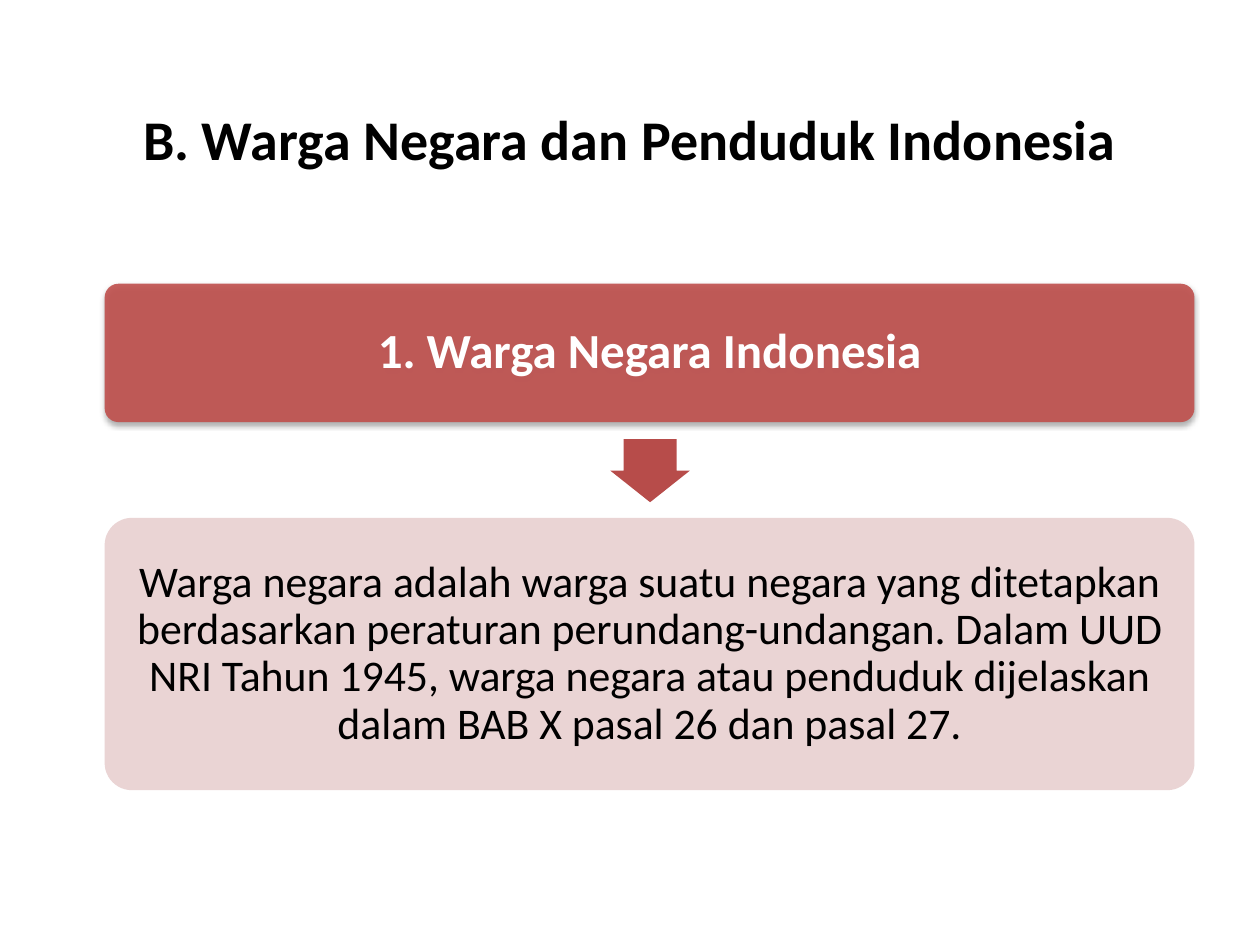
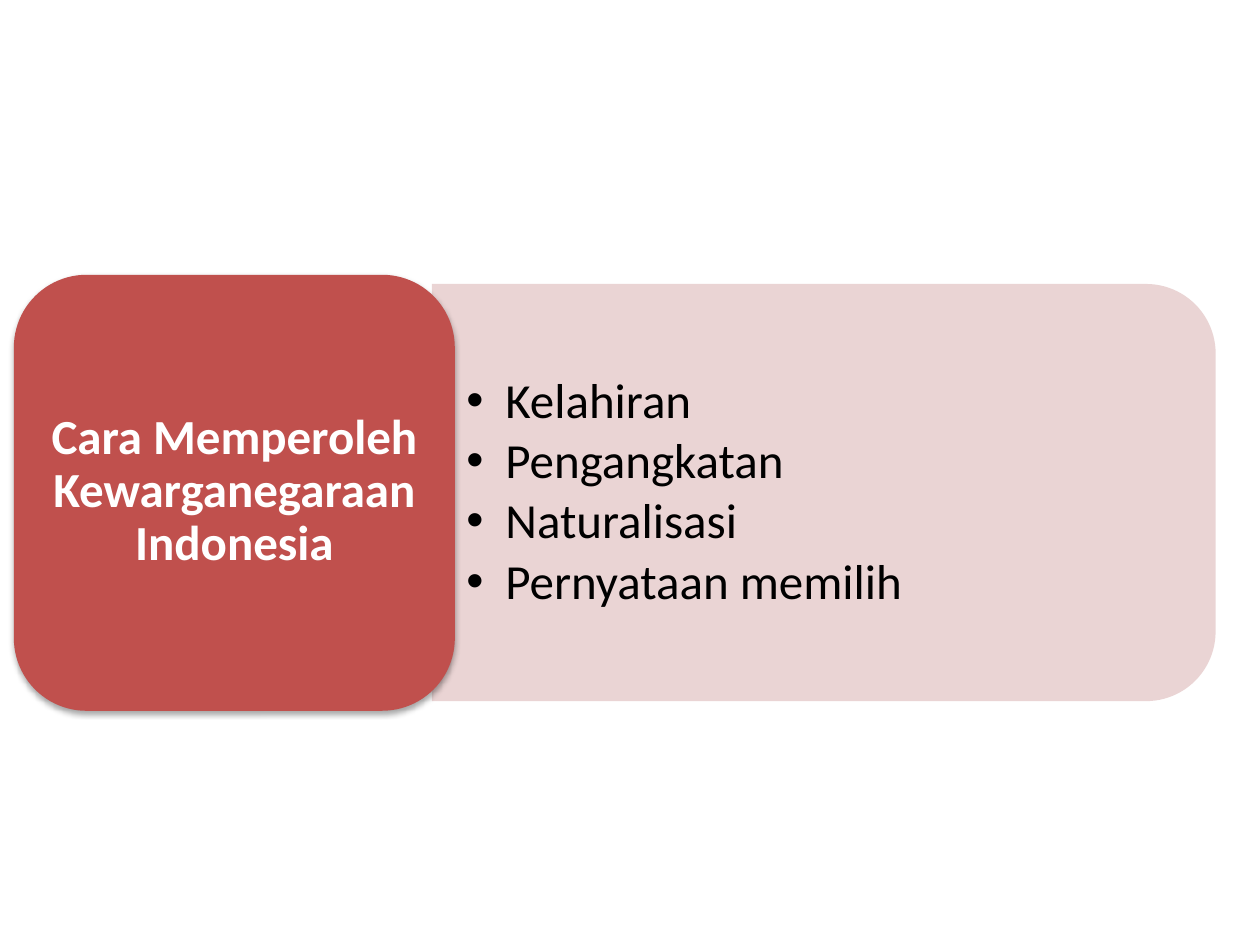
"""Build two slides on Indonesian citizens and how citizenship is obtained."""
from lxml.etree import SubElement
from pptx import Presentation
from pptx.dml.color import RGBColor
from pptx.enum.shapes import MSO_SHAPE
from pptx.enum.text import MSO_ANCHOR, MSO_AUTO_SIZE, PP_ALIGN
from pptx.oxml.ns import qn
from pptx.util import Cm, Pt

FONT = "Calibri"
RED, ARROW, PINK = "C0504D", "B74C4A", "E8D0D0"
BLACK, WHITE = "000000", "FFFFFF"


def paint(fill, color, alpha=100):
    """Give a shape or font fill a solid colour with an opacity in percent."""
    fill.solid()
    fill.fore_color.rgb = RGBColor.from_string(color)
    if alpha < 100:
        clr = fill._xPr.find(qn("a:solidFill"))[0]
        SubElement(clr, qn("a:alpha"), val=str(alpha * 1000))


def write(sp, text, size=28, color=BLACK, bold=False, align=PP_ALIGN.CENTER,
          inset=(0.25, 0.13), spacing=0.9, after=0, indent=None):
    """Write one paragraph per line of text into a shape or placeholder."""
    tf = sp.text_frame
    tf.text = text
    tf.word_wrap = True
    tf.auto_size = MSO_AUTO_SIZE.NONE
    tf.vertical_anchor = MSO_ANCHOR.MIDDLE
    tf.margin_left = tf.margin_right = Cm(inset[0])
    tf.margin_top = tf.margin_bottom = Cm(inset[1])
    for p in tf.paragraphs:
        p.alignment = align
        p.line_spacing = spacing
        p.space_before, p.space_after = Pt(0), Pt(after)
        if indent:
            pPr = p._p.get_or_add_pPr()
            pPr.set("marL", str(Cm(indent)))
            pPr.set("indent", str(-Cm(indent)))
        for r in p.runs:
            r.font.name, r.font.size, r.font.bold = FONT, Pt(size), bold
            paint(r.font.fill, color)


prs = Presentation()
prs.slide_width, prs.slide_height = Cm(25.4), Cm(19.05)
citizens = prs.slides.add_slide(prs.slide_layouts[5])
ways = prs.slides.add_slide(prs.slide_layouts[1])

ROUND = MSO_SHAPE.ROUNDED_RECTANGLE
shapes = {}
for name, s, kind, box, turn, adj, color, alpha, shadow in [
    ("heading", citizens, ROUND, (2.11, 5.72, 21.97, 2.79), 0, [0.1], RED, 90, True),
    ("arrow", citizens, MSO_SHAPE.RIGHT_ARROW, (12.47, 8.69, 1.27, 1.6), 90,
     [0.67, 0.5], ARROW, 100, False),
    ("meaning", citizens, ROUND, (2.11, 10.44, 21.97, 5.49), 0, [0.1], PINK, 90, False),
    ("panel", ways, MSO_SHAPE.ROUND_2_SAME_RECTANGLE, (12.4, 2.03, 8.41, 15.8), 90,
     [], PINK, 90, False),
    ("topic", ways, ROUND, (0.28, 5.54, 8.89, 8.79), 0, [], RED, 100, True),
]:
    sp = s.shapes.add_shape(kind, *map(Cm, box))
    sp.rotation = turn
    for i, value in enumerate(adj):
        sp.adjustments[i] = value
    paint(sp.fill, color, alpha)
    sp.line.fill.background()
    sp.shadow.inherit = False
    if shadow:
        effects = sp._element.spPr.find(qn("a:effectLst"))
        outer = SubElement(effects, qn("a:outerShdw"), blurRad=str(Pt(3.1)),
                           dist=str(Pt(1.8)), dir="5400000", rotWithShape="0")
        clr = SubElement(outer, qn("a:srgbClr"), val=BLACK)
        SubElement(clr, qn("a:alpha"), val="35000")
    shapes[name] = sp

for sp, box in [
    (citizens.shapes.title, (1.9, 0.74, 21.59, 4.09)),
    (ways.placeholders[1], (8.71, 6.15, 15.39, 7.57)),
    (ways.shapes.title, (0.71, 5.94, 8.03, 7.95)),
]:
    sp.left, sp.top, sp.width, sp.height = map(Cm, box)
    sp._element.getparent().append(sp._element)

write(citizens.shapes.title, "B. Warga Negara dan Penduduk Indonesia",
      size=32, bold=True, spacing=1.0)
write(shapes["heading"], "1. Warga Negara Indonesia",
      color=WHITE, bold=True, inset=(0.1, 0.1))
write(shapes["meaning"],
      "Warga negara adalah warga suatu negara yang ditetapkan berdasarkan "
      "peraturan perundang-undangan. Dalam UUD NRI Tahun 1945, warga negara "
      "atau penduduk dijelaskan dalam BAB X pasal 26 dan pasal 27.",
      size=25, inset=(0.08, 0.08))
write(ways.shapes.title, "Cara Memperoleh Kewarganegaraan Indonesia",
      color=WHITE, bold=True, inset=(0.3, 0.15))
write(ways.placeholders[1], "Kelahiran\nPengangkatan\nNaturalisasi\nPernyataan memilih",
      align=PP_ALIGN.LEFT, inset=(0.69, 0.36), after=4.2, indent=0.79)

prs.save("out.pptx")
